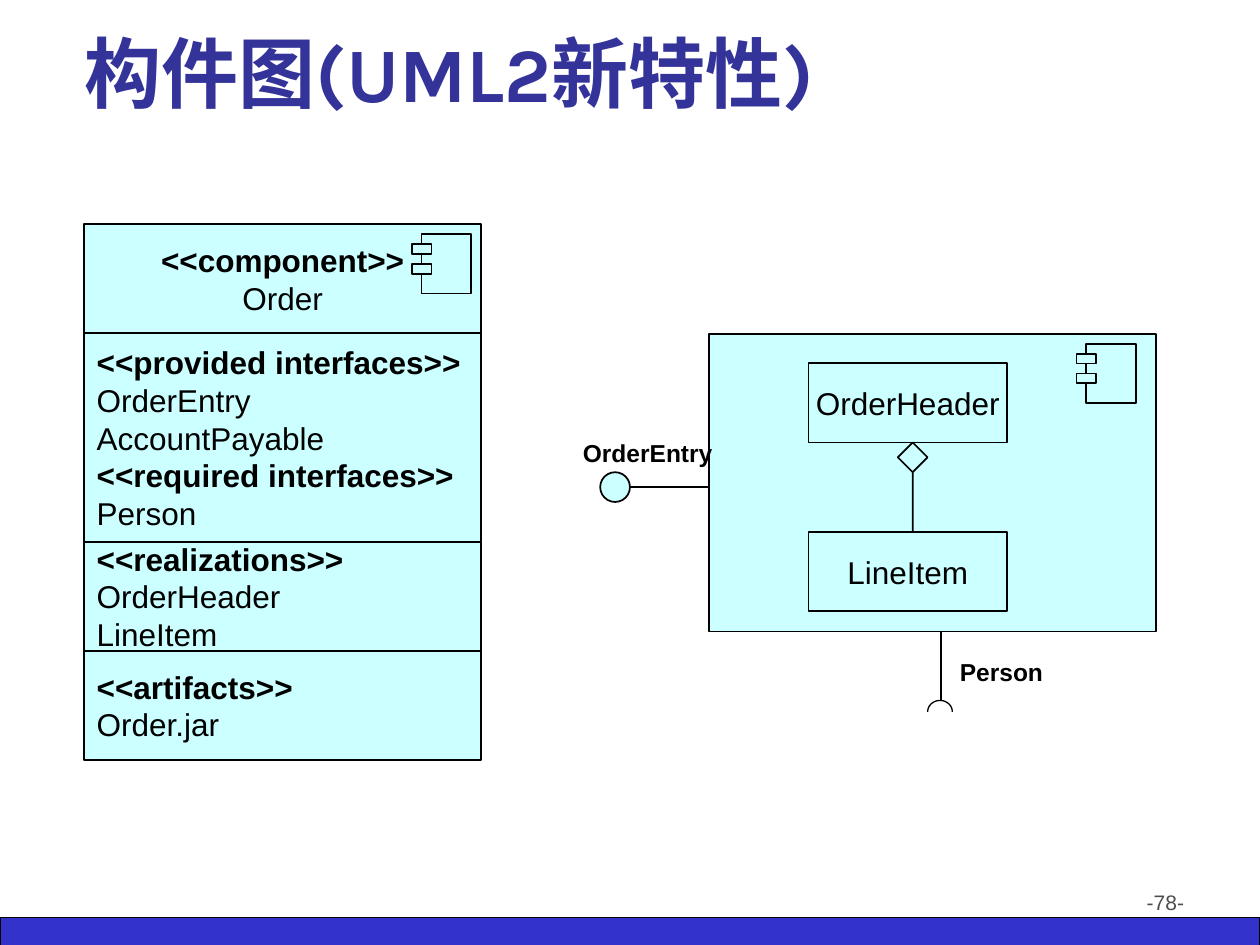
from lxml.etree import SubElement
from pptx import Presentation
from pptx.dml.color import RGBColor
from pptx.enum.shapes import MSO_CONNECTOR, MSO_SHAPE
from pptx.enum.text import MSO_ANCHOR, MSO_AUTO_SIZE, PP_ALIGN
from pptx.oxml.ns import qn
from pptx.util import Cm, Pt

BLACK, CYAN = "000000", "CCFFFF"


def color(value):
    return RGBColor.from_string(value)


def write(shape, *lines, size=18, font="Arial", ink=BLACK, bold=False,
          align=PP_ALIGN.LEFT, anchor=MSO_ANCHOR.MIDDLE, wrap=False, before=0):
    """Fill a shape with paragraphs; stereotypes such as <<component>> are bold."""
    frame = shape.text_frame
    frame.word_wrap = wrap
    frame.vertical_anchor = anchor
    for number, line in enumerate(lines):
        paragraph = frame.add_paragraph() if number else frame.paragraphs[0]
        paragraph.alignment = align
        paragraph.space_before = Pt(before)
        run = paragraph.add_run()
        run.text = line
        run.font.name = font
        run.font.size = Pt(size)
        run.font.bold = bold or line.startswith("<<")
        run.font.color.rgb = color(ink)


def add_figure(slide, x, y, width, height, kind=MSO_SHAPE.RECTANGLE,
               fill=CYAN, weight=1):
    figure = slide.shapes.add_shape(kind, Cm(x), Cm(y), Cm(width), Cm(height))
    figure.shadow.inherit = False
    if fill:
        figure.fill.solid()
        figure.fill.fore_color.rgb = color(fill)
    else:
        figure.fill.background()
    figure.line.color.rgb = color(BLACK)
    figure.line.width = Pt(weight)
    return figure


def add_line(slide, x1, y1, x2, y2):
    line = slide.shapes.add_connector(
        MSO_CONNECTOR.STRAIGHT, Cm(x1), Cm(y1), Cm(x2), Cm(y2))
    line.line.color.rgb = color(BLACK)
    line.line.width = Pt(1)
    SubElement(line._element.spPr, qn("a:effectLst"))
    return line


def add_label(slide, x, y, text):
    label = slide.shapes.add_textbox(Cm(x), Cm(y), Cm(3.81), Cm(0.86))
    write(label, text, size=14, bold=True, anchor=MSO_ANCHOR.TOP,
          wrap=True, before=8.8)
    label.text_frame.auto_size = MSO_AUTO_SIZE.SHAPE_TO_FIT_TEXT


def add_component_icon(slide, x, y):
    add_figure(slide, x, y, 1, 1.2)
    for drop in (0.2, 0.6):
        add_figure(slide, x - 0.2, y + drop, 0.4, 0.2)


def add_order_component(slide):
    compartments = [
        (2.2, PP_ALIGN.CENTER, ["<<component>>", "Order"]),
        (4.2, PP_ALIGN.LEFT, ["<<provided interfaces>>", "OrderEntry",
                              "AccountPayable", "<<required interfaces>>",
                              "Person"]),
        (2.2, PP_ALIGN.LEFT, ["<<realizations>>", "OrderHeader", "LineItem"]),
        (2.2, PP_ALIGN.LEFT, ["<<artifacts>>", "Order.jar"]),
    ]
    top = 4.52
    for height, align, lines in compartments:
        write(add_figure(slide, 1.7, top, 8, height), *lines, align=align)
        top += height
    add_component_icon(slide, 8.5, 4.72)


def add_inner_structure(slide):
    add_figure(slide, 14.3, 6.73, 9, 6)
    for top, name in ((7.32, "OrderHeader"), (10.72, "LineItem")):
        write(add_figure(slide, 16.3, top, 4, 1.6), name, align=PP_ALIGN.CENTER)

    # Aggregation
    aggregation = add_figure(slide, 18.1, 8.92, 0.6, 0.6, MSO_SHAPE.DIAMOND)
    add_line(slide, 18.4, 9.52, 18.4, 10.72).begin_connect(aggregation, 2)
    add_component_icon(slide, 21.9, 6.93)

    # Provided interface
    add_figure(slide, 12.1, 9.52, 0.6, 0.6, MSO_SHAPE.OVAL)
    add_line(slide, 12.7, 9.82, 14.3, 9.82)
    add_label(slide, 11.5, 8.71, "OrderEntry")

    # Required interface: upper half circle, angles in units of 100000/60000 degree
    socket = add_figure(slide, 18.7, 14.12, 0.5, 0.46, MSO_SHAPE.ARC,
                        fill=None, weight=0.75)
    socket.adjustments[0] = 108
    socket.adjustments[1] = 0
    add_line(slide, 18.97, 14.12, 18.97, 12.73)
    add_label(slide, 19.1, 13.13, "Person")


def add_title(slide, text):
    title = slide.shapes.title
    title.left, title.top = Cm(1.45), Cm(0.71)
    title.width, title.height = Cm(22.83), Cm(1.8)
    write(title, text, size=44, font="Karla", ink="333399", bold=True,
          anchor=MSO_ANCHOR.BOTTOM, wrap=True)
    title.text_frame.auto_size = MSO_AUTO_SIZE.NONE


def add_footer(slide, text):
    add_figure(slide, 0, 18.49, 25.4, 0.63, fill="3333CC", weight=0.75)
    page = slide.shapes.add_textbox(Cm(18.2), Cm(17.8), Cm(5.92), Cm(1.32))
    write(page, text, size=12, ink="4D4D4D", align=PP_ALIGN.RIGHT,
          anchor=MSO_ANCHOR.TOP, wrap=True)


def main():
    deck = Presentation()
    deck.slide_width, deck.slide_height = Cm(25.4), Cm(19.05)
    slide = deck.slides.add_slide(deck.slide_layouts[5])
    add_footer(slide, "-78-")
    add_title(slide, "构件图(UML2新特性)")
    add_order_component(slide)
    add_inner_structure(slide)
    deck.save("out.pptx")


if __name__ == "__main__":
    main()
